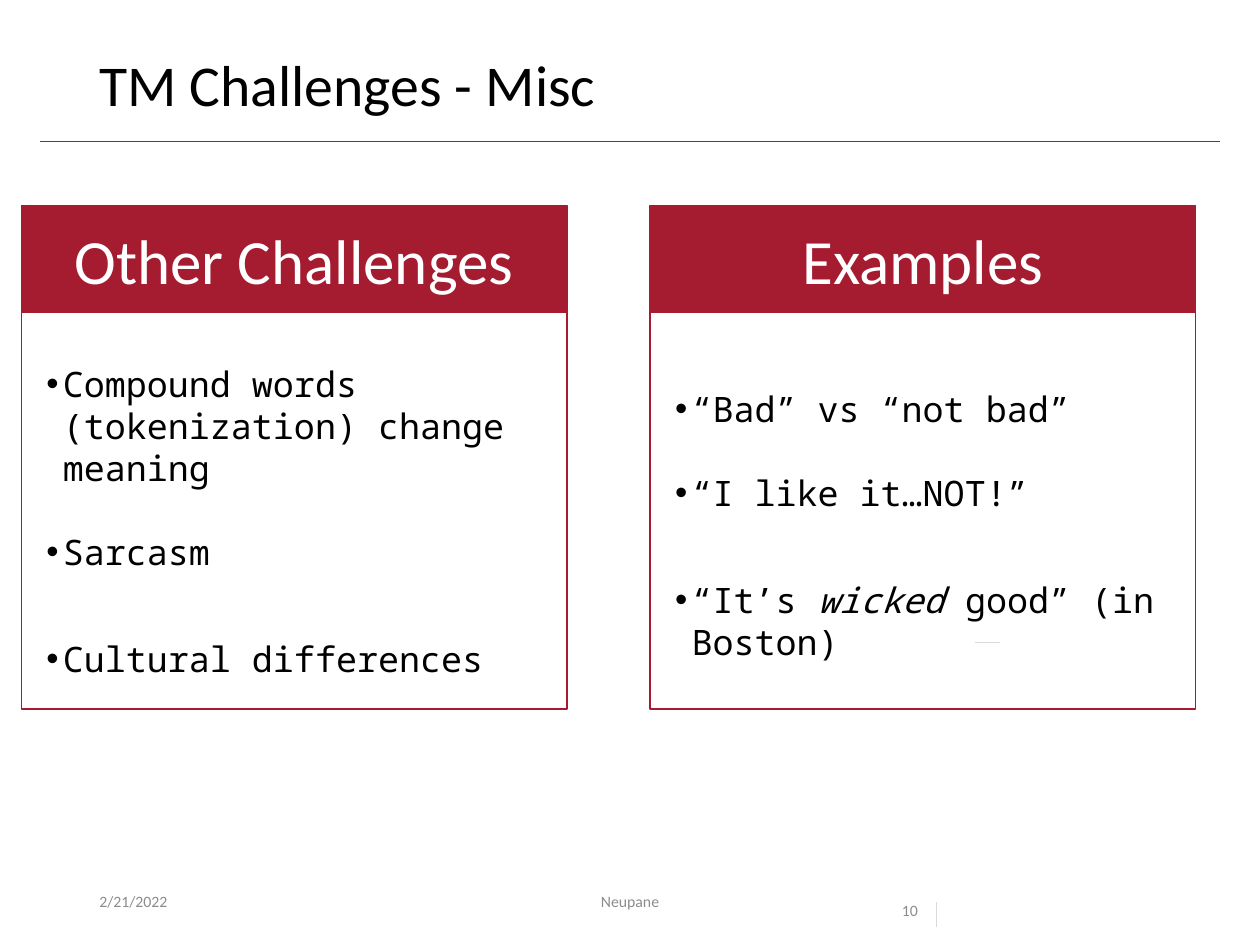
import pptx
import pptx.util
import pptx.dml.color
import pptx.enum.shapes
import pptx.enum.text
import pptx.oxml.ns
import lxml.etree

RGB = pptx.dml.color.RGBColor
RED = RGB(0xA5, 0x1C, 0x30)
WHITE = RGB(0xFF, 0xFF, 0xFF)
BLACK = RGB(0, 0, 0)
GREY = RGB(0x8C, 0x8C, 0x8C)
PALE = RGB(0xD9, 0xD9, 0xD9)
ALIGN = pptx.enum.text.PP_ALIGN
ANCHOR = pptx.enum.text.MSO_ANCHOR
QN = pptx.oxml.ns.qn


def write(par, text, size=20, font="Calibri", color=BLACK, align=ALIGN.LEFT,
          italic=False, lead=None, before=0):
    """Add one run to a paragraph and format both."""
    par.alignment = align
    par.space_before = pptx.util.Pt(before)
    if lead:
        par.line_spacing = lead
    run = par.add_run()
    run.text = text
    run.font.size = pptx.util.Pt(size)
    run.font.name = font
    run.font.italic = italic
    run.font.color.rgb = color


class Deck:
    """Hold the style and the current slide, on a grid of 100 columns by 75 rows."""

    def __init__(self):
        self.file = pptx.Presentation()
        self.file.slide_width = pptx.util.Inches(10)
        self.file.slide_height = pptx.util.Inches(7.5)
        self.cell = self.file.slide_width / 100
        self.slide = self.file.slides.add_slide(self.file.slide_layouts[6])
        self.shapes = self.slide.shapes

    def grid(self, *units):
        return [round(unit * self.cell) for unit in units]

    def line(self, left, top, right, low, color):
        kind = pptx.enum.shapes.MSO_CONNECTOR.STRAIGHT
        rule = self.shapes.add_connector(kind, *self.grid(left, top, right, low))
        rule.line.color.rgb = color
        rule.line.width = pptx.util.Pt(0.5)
        lxml.etree.SubElement(rule._element.spPr, QN("a:effectLst"))

    def box(self, *place, anchor=ANCHOR.TOP):
        frame = self.shapes.add_textbox(*self.grid(*place)).text_frame
        frame.word_wrap = True
        frame.vertical_anchor = anchor
        return frame

    def label(self, text, *place, anchor=ANCHOR.TOP, **style):
        write(self.box(*place, anchor=anchor).paragraphs[0], text, **style)

    def rect(self, *place, fill=None):
        kind = pptx.enum.shapes.MSO_SHAPE.RECTANGLE
        shape = self.shapes.add_shape(kind, *self.grid(*place))
        shape.shadow.inherit = False
        if fill is None:
            shape.fill.background()
        else:
            shape.fill.solid()
            shape.fill.fore_color.rgb = fill
        shape.line.color.rgb = RED
        shape.line.width = pptx.util.Pt(1)
        return shape.text_frame

    def points(self, items, *place):
        frame = self.box(*place)
        for row, (item, gap) in enumerate(zip(items, (0, 24, 37))):
            par = frame.add_paragraph() if row else frame.paragraphs[0]
            for part, text in enumerate(item.split("*")):
                write(par, text, font="Noto Sans Mono", italic=part % 2 == 1, before=gap)
            props = par._p.get_or_add_pPr()
            inset = pptx.util.Inches(0.13)
            props.set("marL", str(inset))
            props.set("indent", str(-inset))
            lxml.etree.SubElement(props, QN("a:buFont"), typeface="Arial")
            lxml.etree.SubElement(props, QN("a:buChar"), char="•")

    def panel(self, left, head, items, top, high):
        self.points(items, left + 1, top, 41.5, high)
        title = self.rect(left, 16.3, 43.3, 8.5, fill=RED)
        title.vertical_anchor = ANCHOR.MIDDLE
        write(title.paragraphs[0], head, size=36, color=WHITE, align=ALIGN.CENTER)
        self.rect(left, 17.8, 43.3, 38.5)


def main():
    deck = Deck()
    foot = {"size": 9, "color": GREY}
    deck.line(3.2, 11.2, 96.8, 11.2, RED)
    deck.label("2/21/2022", 6.9, 69.5, 22.5, 4, anchor=ANCHOR.MIDDLE, **foot)
    deck.label("TM Challenges - Misc", 6.9, 4, 86.2, 6.5, size=33, lead=0.9)
    deck.label("10", 70.6, 69.5, 9.4, 4, lead=2, **foot)
    deck.panel(1.7, "Other Challenges", (
        "Compound words (tokenization) change meaning",
        "Sarcasm",
        "Cultural differences"), 28.3, 23.1)
    deck.panel(51.6, "Examples", (
        "“Bad” vs “not bad”",
        "“I like it…NOT!”",
        "“It’s *wicked* good” (in Boston)"), 30.3, 19.7)
    deck.line(74.3, 71.6, 74.3, 73.6, PALE)
    deck.line(77.4, 51, 79.4, 51, PALE)
    deck.label("Neupane", 33.1, 69.5, 33.8, 4, anchor=ANCHOR.MIDDLE,
               align=ALIGN.CENTER, **foot)
    deck.file.save("out.pptx")


if __name__ == "__main__":
    main()
